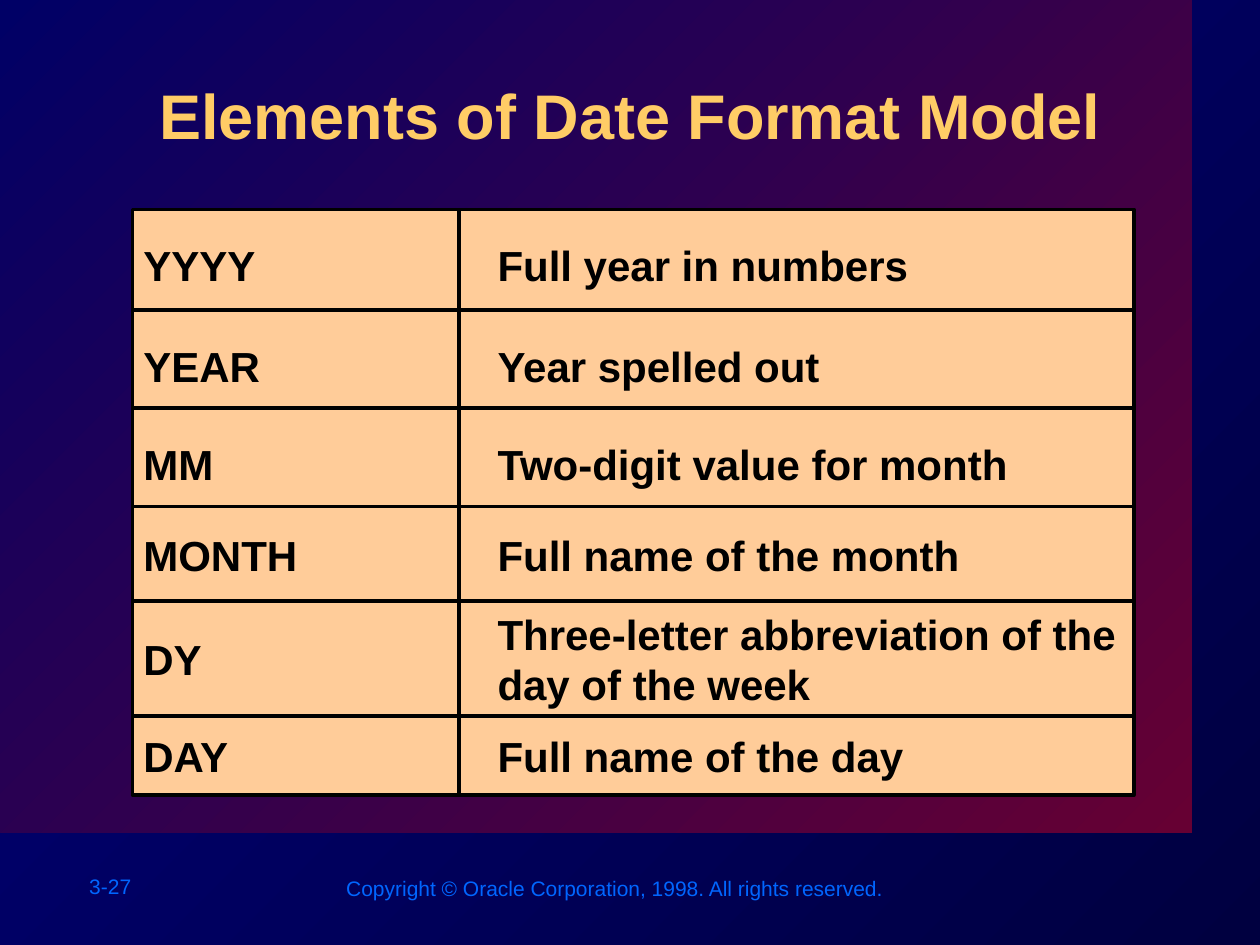
from dataclasses import dataclass

from lxml import etree
from pptx import Presentation
from pptx.dml.color import RGBColor
from pptx.dml.fill import FillFormat
from pptx.enum.shapes import MSO_CONNECTOR, MSO_SHAPE
from pptx.enum.text import MSO_ANCHOR, PP_ALIGN
from pptx.oxml import parse_xml
from pptx.oxml.ns import nsdecls, qn
from pptx.slide import Slide
from pptx.util import Cm, Pt

RECT = MSO_SHAPE.RECTANGLE
STRAIGHT = MSO_CONNECTOR.STRAIGHT
TOP = MSO_ANCHOR.TOP
LEFT, CENTER = PP_ALIGN.LEFT, PP_ALIGN.CENTER


@dataclass(frozen=True)
class Theme:
    font: str = "Arial"
    ink: str = "000000"
    cell: str = "FFCC99"
    title: str = "FFCC66"
    footer: str = "0066FF"
    backdrop: tuple[str, str] = ("000080", "000040")
    panel: tuple[str, str] = ("000066", "660033")
    title_size: int = 36
    body_size: int = 24
    footer_size: int = 12
    rule: int = 2


@dataclass(frozen=True)
class Box:
    left: float
    top: float
    width: float
    height: float

    def emu(self) -> tuple[Cm, Cm, Cm, Cm]:
        return Cm(self.left), Cm(self.top), Cm(self.width), Cm(self.height)


@dataclass(frozen=True)
class Style:
    size: int
    color: str
    bold: bool = False
    align: PP_ALIGN = LEFT
    wrap: bool = True
    shadow: bool = False


@dataclass(frozen=True)
class Element:
    code: str
    meaning: str
    top: float
    lines: int = 1


THEME = Theme()
TITLE = Style(THEME.title_size, THEME.title, bold=True, align=CENTER, shadow=True)
BODY = Style(THEME.body_size, THEME.ink, bold=True)
FOOTER = Style(THEME.footer_size, THEME.footer, wrap=False)

TABLE_TOP, TABLE_HEIGHT = 4.22, 11.81
RULE_LEFT, RULE_RIGHT = 2.64, 22.86
RULES = (6.25, 8.23, 10.21, 12.12, 14.43)
LINE_HEIGHT = 1.02
ELEMENTS = (
    Element("YYYY", "Full year in numbers", 4.7),
    Element("YEAR", "Year spelled out", 6.73),
    Element("MM", "Two-digit value for month", 8.71),
    Element("MONTH", "Full name of the month", 10.54),
    Element("DY", "Three-letter abbreviation of the day of the week", 12.65, 2),
    Element("DAY", "Full name of the day", 14.6),
)


def fill_gradient(fill: FillFormat, colors: tuple[str, str]) -> None:
    fill.gradient()
    fill.gradient_angle = 315
    for stop, color in zip(fill.gradient_stops, colors):
        stop.color.rgb = RGBColor.from_string(color)


def add_rect(s: Slide, box: Box):
    sp = s.shapes.add_shape(RECT, *box.emu())
    sp.shadow.inherit = False
    return sp


def add_cell_column(s: Slide, box: Box) -> None:
    sp = add_rect(s, box)
    sp.fill.solid()
    sp.fill.fore_color.rgb = RGBColor.from_string(THEME.cell)
    sp.line.color.rgb = RGBColor.from_string(THEME.ink)
    sp.line.width = Pt(THEME.rule)


def add_text(s: Slide, box: Box, text: str, style: Style) -> None:
    tf = s.shapes.add_textbox(*box.emu()).text_frame
    tf.word_wrap = style.wrap
    tf.vertical_anchor = TOP
    p = tf.paragraphs[0]
    p.alignment = style.align
    r = p.add_run()
    r.text = text
    r.font.size = Pt(style.size)
    r.font.bold = style.bold
    r.font.color.rgb = RGBColor.from_string(style.color)
    r.font.name = THEME.font
    if style.shadow:
        effect = parse_xml(
            f'<a:effectLst {nsdecls("a")}>'
            '<a:outerShdw dist="35921" dir="2700000">'
            f'<a:srgbClr val="{THEME.ink}"/></a:outerShdw></a:effectLst>'
        )
        r.font._element.find(qn("a:solidFill")).addnext(effect)


def add_rule(s: Slide, y: float) -> None:
    line = s.shapes.add_connector(STRAIGHT, Cm(RULE_LEFT), Cm(y), Cm(RULE_RIGHT), Cm(y))
    line.line.color.rgb = RGBColor.from_string(THEME.ink)
    line.line.width = Pt(THEME.rule)
    etree.SubElement(line._element.spPr, qn("a:effectLst"))


def add_element(s: Slide, row: Element) -> None:
    height = LINE_HEIGHT * row.lines + 0.25
    top = row.top - LINE_HEIGHT * (row.lines - 1) / 2
    add_text(s, Box(RULE_LEFT, row.top, 10.19, LINE_HEIGHT + 0.25), row.code, BODY)
    add_text(s, Box(9.78, top, 13, height), row.meaning, BODY)


def main() -> None:
    prs = Presentation()
    prs.slide_width, prs.slide_height = Cm(25.4), Cm(19.05)
    s = prs.slides.add_slide(prs.slide_layouts[6])
    fill_gradient(s.background.fill, THEME.backdrop)
    panel = add_rect(s, Box(0, 0, 24.03, 16.78))
    fill_gradient(panel.fill, THEME.panel)
    panel.line.fill.background()

    add_text(s, Box(1.55, 17.48, 2.82, 0.76), "3-27", FOOTER)
    add_text(
        s,
        Box(6.73, 17.53, 11.38, 0.76),
        "Copyright © Oracle Corporation, 1998. All rights reserved.",
        FOOTER,
    )
    add_text(s, Box(2.57, 1.42, 20.27, 2.44), "Elements of Date Format Model", TITLE)

    for left, width in ((2.67, 10.08), (9.25, 13.61)):
        add_cell_column(s, Box(left, TABLE_TOP, width, TABLE_HEIGHT))
    for row in ELEMENTS:
        add_element(s, row)
    for y in RULES:
        add_rule(s, y)

    prs.save("out.pptx")


if __name__ == "__main__":
    main()
